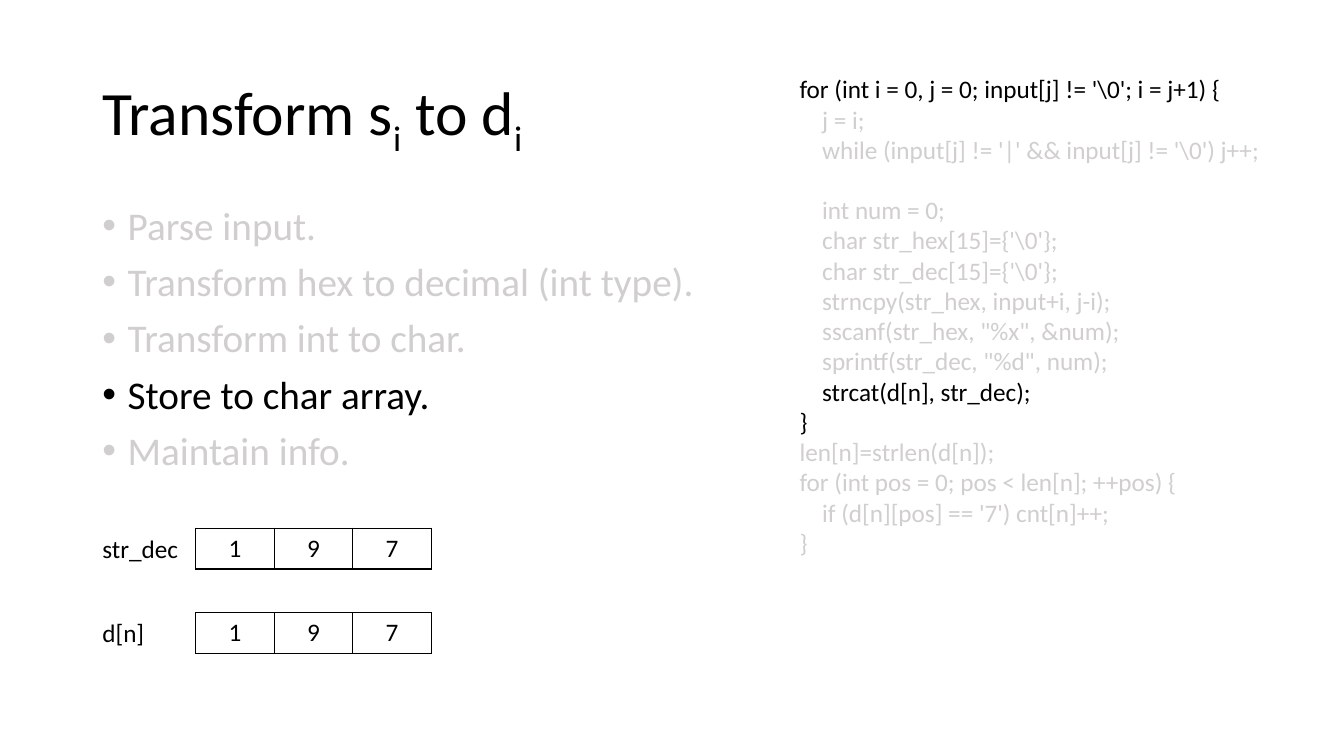
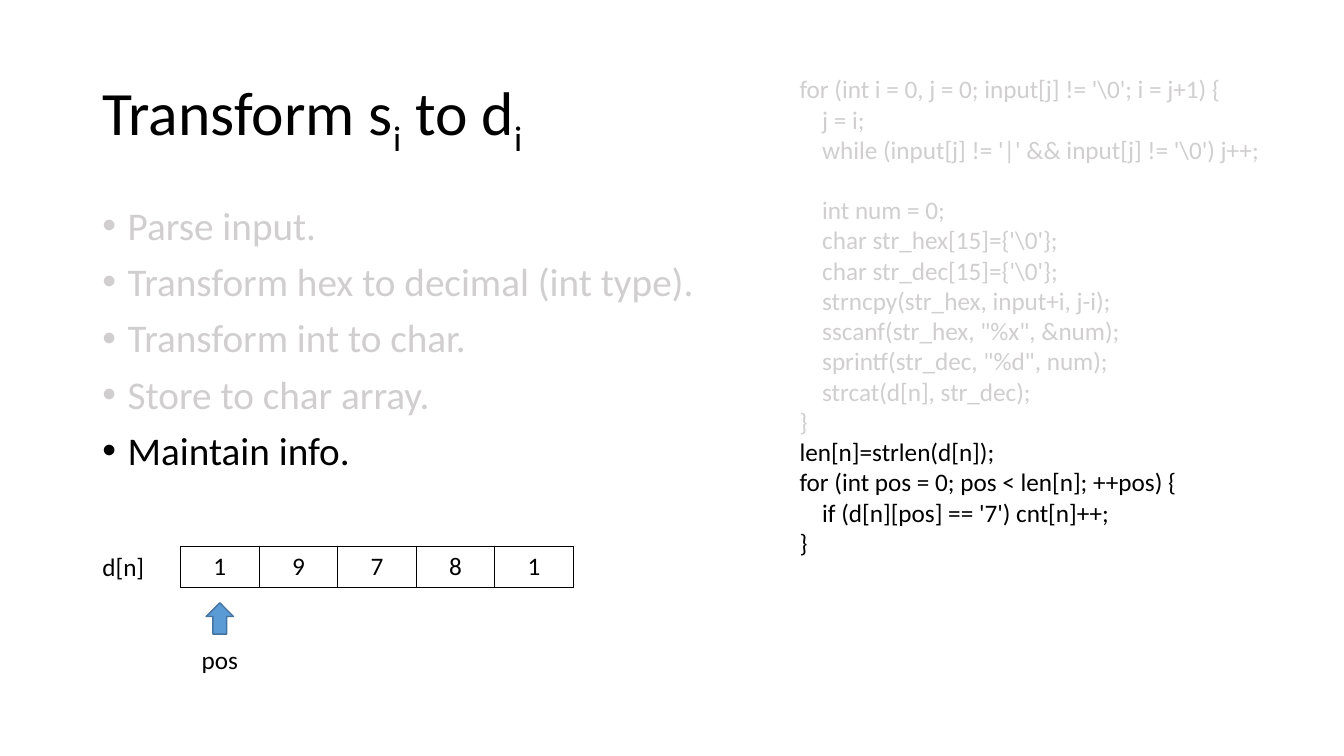
from dataclasses import dataclass

from lxml.etree import SubElement
from pptx import Presentation
from pptx.dml.color import RGBColor as Rgb
from pptx.enum.shapes import MSO_SHAPE as Preset
from pptx.enum.text import MSO_ANCHOR as Anchor, MSO_AUTO_SIZE as AutoSize, PP_ALIGN as Align
from pptx.oxml.ns import qn
from pptx.util import Cm, Pt


@dataclass(frozen=True)
class Theme:
    font: str = "Calibri"
    active: str = "000000"
    muted: str = "D0CECE"
    arrow: str = "5B9BD5"
    arrow_edge: str = "43739E"
    title_size: int = 44
    step_size: int = 28
    small_size: int = 18


THEME = Theme()

# Shared layout, in centimetres
MARGIN = 2.33
CELL_WIDTH, CELL_HEIGHT = 1.98, 1.03
CODE_INDENT = 0.57
BULLET_INDENT = 0.64

# Title as (text, is subscript)
TITLE = [("Transform s", False), ("i", True), (" to d", False), ("i", True)]

STEPS = [
    "Parse input.",
    "Transform hex to decimal (int type).",
    "Transform int to char.",
    "Store to char array.",
    "Maintain info.",
]

# Code as (depth, text)
CODE = [
    (1, r"for (int i = 0, j = 0; input[j] != '\0'; i = j+1) {"),
    (2, "j = i;"),
    (2, r"while (input[j] != '|' && input[j] != '\0') j++;"),
    (2, "int num = 0;"),
    (2, r"char str_hex[15]={'\0'};"),
    (2, r"char str_dec[15]={'\0'};"),
    (2, "strncpy(str_hex, input+i, j-i);"),
    (2, 'sscanf(str_hex, "%x", &num);'),
    (2, 'sprintf(str_dec, "%d", num);'),
    (2, "strcat(d[n], str_dec);"),
    (1, "}"),
    (1, "len[n]=strlen(d[n]);"),
    (1, "for (int pos = 0; pos < len[n]; ++pos) {"),
    (2, "if (d[n][pos] == '7') cnt[n]++;"),
    (1, "}"),
]
CONVERSION_START = 3  # a one-line gap precedes this line
CODE_GAP = 21.6


def style(paragraph, size, color=THEME.active):
    font = paragraph.font
    font.name, font.size = THEME.font, Pt(size)
    font.color.rgb = Rgb.from_string(color)


def indent(paragraph, left, first=0):
    props = paragraph._p.get_or_add_pPr()
    props.set("marL", str(Cm(left)))
    props.set("indent", str(Cm(first)))
    return props


def add_bullet(paragraph, color):
    props = indent(paragraph, BULLET_INDENT, -BULLET_INDENT)
    SubElement(SubElement(props, qn("a:buClr")), qn("a:srgbClr"), val=color)
    SubElement(props, qn("a:buFont"), typeface="Arial")
    SubElement(props, qn("a:buChar"), char="•")


def add_text_frame(slide, left, top, width, height):
    frame = slide.shapes.add_textbox(Cm(left), Cm(top), Cm(width), Cm(height)).text_frame
    frame.word_wrap = True
    return frame


def add_lines(frame, count):
    return [frame.paragraphs[0]] + [frame.add_paragraph() for _ in range(count - 1)]


def add_title(slide):
    frame = add_text_frame(slide, MARGIN, 1.01, 29.21, 3.68)
    frame.vertical_anchor = Anchor.MIDDLE
    heading = frame.paragraphs[0]
    heading.line_spacing = 0.9
    style(heading, THEME.title_size)
    for text, is_subscript in TITLE:
        part = heading.add_run()
        part.text = text
        if is_subscript:
            part._r.get_or_add_rPr().set("baseline", "-25000")


def add_steps(slide, active_step):
    frame = add_text_frame(slide, MARGIN, 5.07, 29.21, 12.09)
    for number, (step, text) in enumerate(zip(add_lines(frame, len(STEPS)), STEPS)):
        color = THEME.active if number == active_step else THEME.muted
        step.text = text
        add_bullet(step, color)
        step.line_spacing, step.space_before = 0.9, Pt(10)
        style(step, THEME.step_size, color)


def add_code(slide, active_lines):
    frame = add_text_frame(slide, 19.33, 1.73, 13.82, 12.57)
    frame.auto_size = AutoSize.SHAPE_TO_FIT_TEXT
    for number, (line, (depth, text)) in enumerate(zip(add_lines(frame, len(CODE)), CODE)):
        line.text = text
        indent(line, depth * CODE_INDENT)
        if number == CONVERSION_START:
            line.space_before = Pt(CODE_GAP)
        style(line, THEME.small_size, THEME.active if number in active_lines else THEME.muted)


def add_label(slide, text, left, top, align=Align.LEFT, width=2.6):
    label = add_text_frame(slide, left, top, width, 1.03).paragraphs[0]
    label.text, label.alignment = text, align
    style(label, THEME.small_size)


def add_borders(cell):
    props = cell._tc.get_or_add_tcPr()
    for side in ("a:lnL", "a:lnR", "a:lnT", "a:lnB"):
        edge = SubElement(props, qn(side), w=str(Pt(1)))
        SubElement(SubElement(edge, qn("a:solidFill")), qn("a:srgbClr"), val=THEME.active)


def add_char_array(slide, name, chars, left, top):
    add_label(slide, name, MARGIN, top)
    array = slide.shapes.add_table(
        1, len(chars), Cm(left), Cm(top), Cm(CELL_WIDTH * len(chars)), Cm(CELL_HEIGHT)
    ).table
    array.first_row = array.horz_banding = False
    for column, char in enumerate(chars):
        array.columns[column].width = Cm(CELL_WIDTH)
        cell = array.cell(0, column)
        add_borders(cell)
        cell.fill.background()
        digit = cell.text_frame.paragraphs[0]
        digit.text, digit.alignment = char, Align.CENTER
        style(digit, THEME.small_size)


def add_pointer(slide, name, center, top):
    width, height, label_width = 0.69, 0.79, 1.6
    arrow = slide.shapes.add_shape(
        Preset.UP_ARROW, Cm(center - width / 2), Cm(top), Cm(width), Cm(height)
    )
    arrow.shadow.inherit = False
    arrow.fill.solid()
    arrow.fill.fore_color.rgb = Rgb.from_string(THEME.arrow)
    arrow.line.color.rgb = Rgb.from_string(THEME.arrow_edge)
    arrow.line.width = Pt(1)
    add_label(slide, name, center - label_width / 2, top + 0.91, Align.CENTER, label_width)


def add_transform_slide(deck, active_step, active_lines):
    slide = deck.slides.add_slide(deck.slide_layouts[6])
    add_title(slide)
    add_steps(slide, active_step)
    add_code(slide, active_lines)
    return slide


def main():
    deck = Presentation()
    deck.slide_width, deck.slide_height = Cm(33.87), Cm(19.05)

    # Store the decimal digits in the char array
    store = add_transform_slide(deck, 3, {0, 9, 10})
    for name, top in (("str_dec", 13.31), ("d[n]", 15.44)):
        add_char_array(store, name, "197", 4.93, top)

    # Walk the array to maintain length and count
    maintain = add_transform_slide(deck, 4, range(11, 15))
    array_left = 4.55
    add_char_array(maintain, "d[n]", "19781", array_left, 13.77)
    add_pointer(maintain, "pos", array_left + CELL_WIDTH / 2, 15.19)

    deck.save("out.pptx")


if __name__ == "__main__":
    main()
